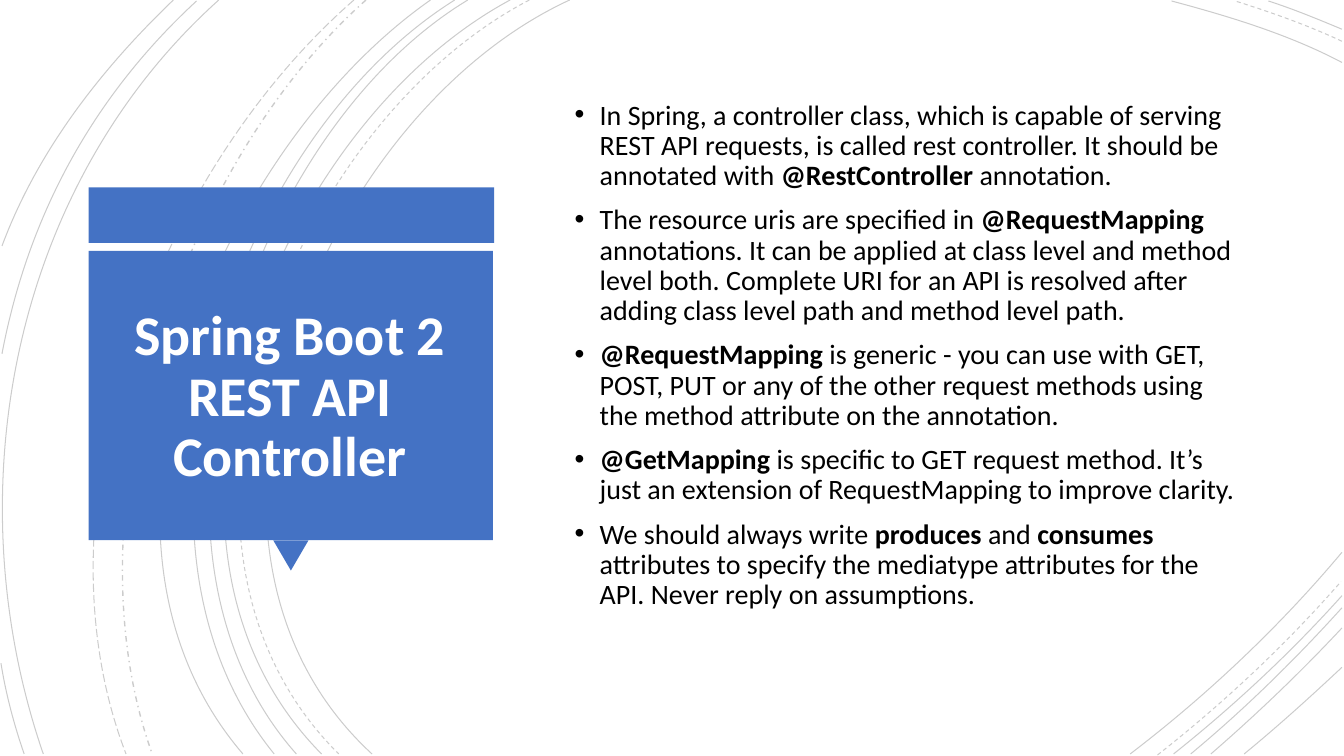
import pptx
import pptx.util
import pptx.dml.color
import pptx.enum.dml
import pptx.enum.shapes
import pptx.enum.text
import pptx.oxml
import pptx.oxml.ns

Inches = pptx.util.Inches
Pt = pptx.util.Pt
DASH = pptx.enum.dml.MSO_LINE
SHAPE = pptx.enum.shapes.MSO_SHAPE

TITLE = "Spring Boot 2 REST API Controller"

# Words between double asterisks are bold.
BULLETS = [
    "In Spring, a controller class, which is capable of serving REST API requests, is called "
    "rest controller. It should be annotated with **@RestController** annotation.",
    "The resource uris are specified in **@RequestMapping** annotations. It can be applied at "
    "class level and method level both. Complete URI for an API is resolved after adding class "
    "level path and method level path.",
    "**@RequestMapping **is generic - you can use with GET, POST, PUT or any of the other "
    "request methods using the method attribute on the annotation.",
    "**@GetMapping **is specific to GET request method. It’s just an extension of "
    "RequestMapping to improve clarity.",
    "We should always write **produces** and **consumes** attributes to specify the mediatype "
    "attributes for the API. Never reply on assumptions.",
]

# Cubic curves by dash style: start, two control points, end (inches).
ARCS = {
    DASH.SOLID: [
        [(5.65, 0), (3.15, 1.15), (1.43, 5.4), (3.69, 7.48)],
        [(13.31, 0.62), (12.78, 0.34), (12.18, 0.16), (11.62, 0.01)],
        [(11.21, 7.48), (11.97, 6.9), (12.69, 6.22), (13.31, 5.48)],
        [(5.06, 0), (2.7, 1.27), (1.1, 5.37), (3.19, 7.48)],
        [(13.31, 0.29), (13.07, 0.19), (12.83, 0.09), (12.58, 0.01)],
        [(11.64, 7.48), (12.23, 7.01), (12.8, 6.48), (13.31, 5.91)],
        [(4.64, 0), (2.44, 1.33), (1.1, 5.41), (2.94, 7.48)],
        [(11.81, 7.48), (12.34, 7.04), (12.84, 6.55), (13.31, 6.03)],
        [(4.51, 0), (2.31, 1.38), (0.97, 5.33), (2.72, 7.48)],
        [(12.01, 7.48), (12.46, 7.09), (12.9, 6.67), (13.31, 6.23)],
        [(4.27, 0), (2.17, 1.47), (0.53, 5.29), (2.41, 7.48)],
        [(12.34, 7.48), (12.67, 7.21), (12.99, 6.92), (13.31, 6.62)],
        [(2.17, 0), (0.11, 1.85), (-0.46, 4.9), (0.43, 7.48)],
        [(1.95, 0.01), (0.92, 0.96), (0.28, 2.14), (0.02, 3.51)],
        [(0.01, 6.58), (0.06, 6.89), (0.14, 7.19), (0.24, 7.48)],
        [(1.72, 0), (1, 0.69), (0.37, 1.5), (0.02, 2.44)],
    ],
    DASH.DASH: [
        [(5.25, 0), (2.85, 1.25), (1.23, 5.37), (3.36, 7.48)],
        [(13.31, 0.41), (12.97, 0.25), (12.6, 0.12), (12.25, 0.01)],
        [(11.48, 7.49), (12.13, 6.98), (12.75, 6.4), (13.3, 5.77)],
    ],
    DASH.DASH_DOT: [[(3.63, 0), (1.76, 1.66), (0.65, 5.09), (1.51, 7.48)]],
    DASH.LONG_DASH: [[(3.51, 0), (1.57, 1.69), (0.29, 4.99), (1.25, 7.48)]],
}

# Preset, left, top, width, height, rotation
CALLOUT = [
    (SHAPE.RECTANGLE, 0.88, 1.86, 4.02, 0.55, 0),
    (SHAPE.ISOSCELES_TRIANGLE, 2.71, 5.36, 0.35, 0.3, 180),
    (SHAPE.RECTANGLE, 0.88, 2.49, 4.01, 2.87, 0),
]
TITLE_BOX = (0.99, 2.64, 3.77, 2.62)
BODY_BOX = (5.6, 0.88, 6.87, 5.74)
BODY_BOTTOM_INSET = 0.49

RGB = pptx.dml.color.RGBColor.from_string
THEME = {
    "font": "Calibri",
    "accent": RGB("4472C4"),
    "ink": RGB("000000"),
    "on_accent": RGB("FFFFFF"),
    "arc_alpha": 20000,
    "title_size": Pt(40),
    "body_size": Pt(20),
}


def add_arc(slide, points, dash):
    """Draw one thin translucent cubic curve."""
    start, *rest = [(Inches(x), Inches(y)) for x, y in points]
    builder = slide.shapes.build_freeform(*start)
    builder.add_line_segments(rest, close=False)
    shape = builder.convert_to_shape()
    shape.shadow.inherit = False
    shape.fill.background()
    shape.line.color.rgb = THEME["ink"]
    shape.line.width = Pt(1 if dash == DASH.DASH_DOT else 0.75)
    shape.line.dash_style = dash

    # Turn the three line segments into one Bézier segment.
    outline = shape.element.xpath(".//a:path")[0]
    curve = pptx.oxml.parse_xml(
        "<a:cubicBezTo %s/>" % pptx.oxml.ns.nsdecls("a"))
    for segment in outline.xpath("a:lnTo"):
        curve.append(segment[0])
        outline.remove(segment)
    outline.append(curve)

    color = shape.element.xpath(".//a:ln//a:srgbClr")[0]
    color.append(pptx.oxml.parse_xml('<a:alpha %s val="%d"/>' % (
        pptx.oxml.ns.nsdecls("a"), THEME["arc_alpha"])))


def add_callout_part(slide, preset, left, top, width, height, rotation):
    shape = slide.shapes.add_shape(
        preset, Inches(left), Inches(top), Inches(width), Inches(height))
    shape.rotation = rotation
    shape.shadow.inherit = False
    shape.fill.solid()
    shape.fill.fore_color.rgb = THEME["accent"]
    shape.line.fill.background()


def add_text_frame(slide, box):
    text_frame = slide.shapes.add_textbox(*map(Inches, box)).text_frame
    text_frame.word_wrap = True
    text_frame.vertical_anchor = pptx.enum.text.MSO_ANCHOR.MIDDLE
    return text_frame


def style_run(run, size, color, bold):
    run.font.name = THEME["font"]
    run.font.size = size
    run.font.color.rgb = color
    run.font.bold = bold


def add_title(slide):
    text_frame = add_text_frame(slide, TITLE_BOX)
    text_frame.text = TITLE
    paragraph = text_frame.paragraphs[0]
    paragraph.alignment = pptx.enum.text.PP_ALIGN.CENTER
    paragraph.line_spacing = 0.9
    style_run(paragraph.runs[0], THEME["title_size"], THEME["on_accent"], True)


def add_bullets(slide):
    text_frame = add_text_frame(slide, BODY_BOX)
    text_frame.margin_bottom = Inches(BODY_BOTTOM_INSET)
    for index, bullet in enumerate(BULLETS):
        paragraph = text_frame.add_paragraph() if index else text_frame.paragraphs[0]
        paragraph.line_spacing = 0.9
        paragraph.space_before = Pt(10)
        properties = paragraph.line_spacing and paragraph._p.get_or_add_pPr()
        properties.set("marL", str(Inches(0.25)))
        properties.set("indent", str(-Inches(0.25)))
        for tag in ('buFont %s typeface="Arial"', 'buChar %s char="•"'):
            properties.append(pptx.oxml.parse_xml(
                "<a:%s/>" % (tag % pptx.oxml.ns.nsdecls("a"))))
        for position, words in enumerate(bullet.split("**")):
            if words:
                run = paragraph.add_run()
                run.text = words
                style_run(run, THEME["body_size"], THEME["ink"], position % 2 == 1)


def main():
    presentation = pptx.Presentation()
    presentation.slide_width = Inches(13.33)
    presentation.slide_height = Inches(7.5)
    slide = presentation.slides.add_slide(presentation.slide_layouts[6])
    for dash, arcs in ARCS.items():
        for points in arcs:
            add_arc(slide, points, dash)
    for part in CALLOUT:
        add_callout_part(slide, *part)
    add_title(slide)
    add_bullets(slide)
    presentation.save("out.pptx")


if __name__ == "__main__":
    main()
